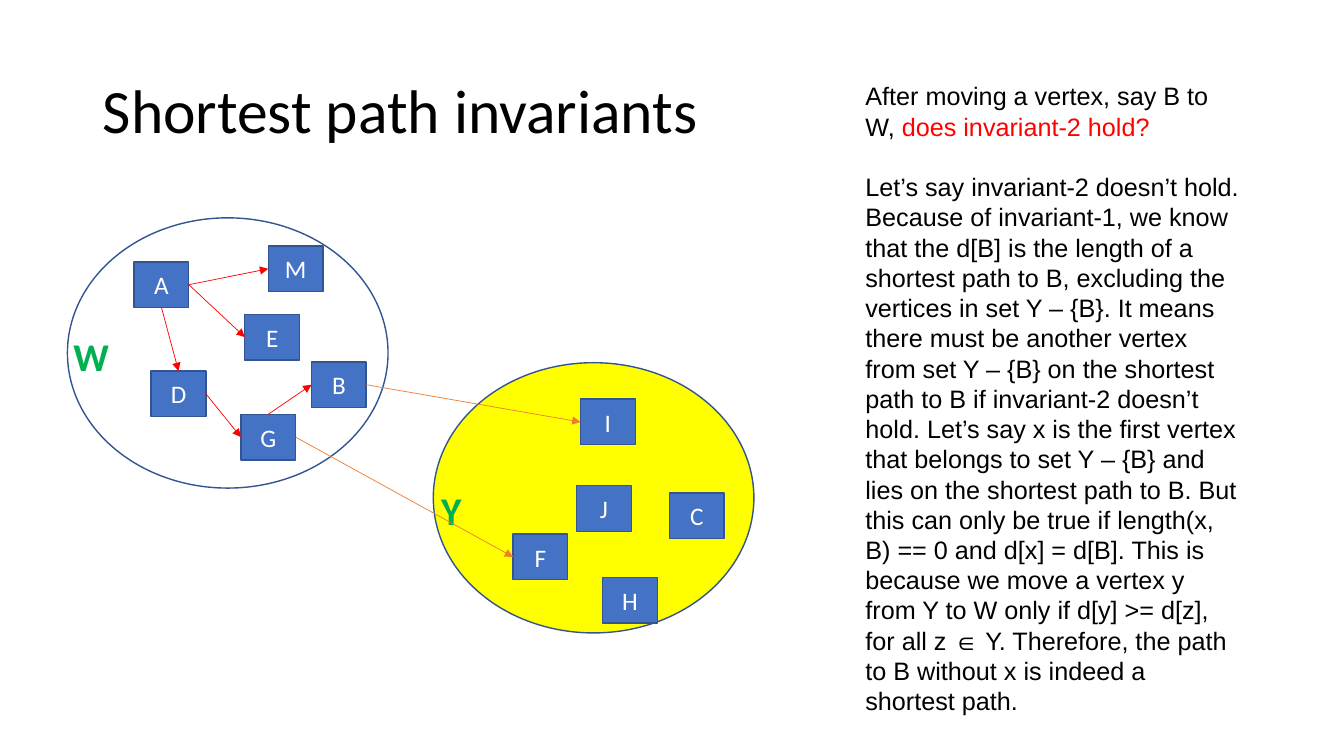
from lxml.etree import SubElement
from pptx import Presentation
from pptx.dml.color import RGBColor
from pptx.enum.shapes import MSO_CONNECTOR, MSO_SHAPE
from pptx.enum.text import MSO_ANCHOR, MSO_AUTO_SIZE, PP_ALIGN
from pptx.oxml.ns import qn
from pptx.util import Cm, Pt

HEADING = "Shortest path invariants"
ARGUMENT = [
    [("After moving a vertex, say B to W, ", "000000"), ("does invariant-2 hold?", "FF0000")],
    [("Let’s say invariant-2 doesn’t hold. Because of invariant-1, we know that the d[B] "
      "is the length of a shortest path to B, excluding the vertices in set Y – {B}. "
      "It means there must be another vertex from set Y – {B} on the shortest path to B "
      "if invariant-2 doesn’t hold. Let’s say x is the first vertex that belongs to set "
      "Y – {B} and lies on the shortest path to B. But this can only be true if "
      "length(x, B) == 0 and d[x] = d[B]. This is because we move a vertex y from Y to W "
      "only if d[y] >= d[z], for all z ∈ Y. Therefore, the path to B without x is indeed "
      "a shortest path.", "000000")],
]
SETS = [
    ("W", "FFFFFF", (1.7, 5.49), (1.6, 8.26)),
    ("Y", "FFFF00", (10.92, 9.14), (10.87, 12.14)),
]
VERTICES = {
    "A": (3.38, 6.6), "D": (3.81, 9.35), "E": (6.17, 7.92), "G": (6.07, 10.44),
    "B": (7.85, 9.12), "M": (6.76, 6.2), "F": (12.93, 13.46), "C": (16.87, 12.42),
    "H": (15.19, 14.55), "I": (14.63, 10.06), "J": (14.53, 12.24),
}
TOP, LEFT, BOTTOM, RIGHT = range(4)
INSIDE, CROSSING = "FF0000", "ED7D31"
EDGES = [
    ("A", RIGHT, "E", LEFT, INSIDE), ("A", BOTTOM, "D", TOP, INSIDE),
    ("D", RIGHT, "G", LEFT, INSIDE), ("G", TOP, "B", LEFT, INSIDE),
    ("A", RIGHT, "M", LEFT, INSIDE), ("G", RIGHT, "F", LEFT, CROSSING),
    ("B", RIGHT, "I", LEFT, CROSSING),
]
SET_SIZE = (8.08, 6.81)
LABEL_SIZE = (2.44, 1.45)
VERTEX_SIZE = (1.38, 1.15)


def color(value):
    return RGBColor.from_string(value)


def box(position, size):
    return [Cm(length) for length in position + size]


def add_run(paragraph, text, size, font_name, shade, bold=False):
    run = paragraph.add_run()
    run.text = text
    run.font.size = Pt(size)
    run.font.name = font_name
    run.font.bold = bold
    run.font.color.rgb = color(shade)


def add_outlined(kind, position, size, fill):
    outlined = slide.shapes.add_shape(kind, *box(position, size))
    outlined.shadow.inherit = False
    outlined.fill.solid()
    outlined.fill.fore_color.rgb = color(fill)
    outlined.line.color.rgb = color("325491")
    outlined.line.width = Pt(1)
    return outlined


def add_text_frame(position, size):
    frame = slide.shapes.add_textbox(*box(position, size)).text_frame
    frame.word_wrap = True
    frame.auto_size = MSO_AUTO_SIZE.SHAPE_TO_FIT_TEXT
    return frame


def add_edge(start, start_side, end, end_side, shade):
    edge = slide.shapes.add_connector(MSO_CONNECTOR.STRAIGHT, 0, 0, 0, 0)
    edge.begin_connect(start, start_side)
    edge.end_connect(end, end_side)
    edge.line.color.rgb = color(shade)
    edge.line.width = Pt(0.5)
    SubElement(edge.line._get_or_add_ln(), qn("a:tailEnd"), type="triangle")
    SubElement(edge._element.spPr, qn("a:effectLst"))


deck = Presentation()
deck.slide_width, deck.slide_height = Cm(33.87), Cm(19.05)
slide = deck.slides.add_slide(deck.slide_layouts[5])

title = slide.shapes.title
title.left, title.top, title.width, title.height = box((2.34, 1.02), (29.21, 3.68))
title.text_frame.vertical_anchor = MSO_ANCHOR.MIDDLE
heading = title.text_frame.paragraphs[0]
heading.alignment = PP_ALIGN.LEFT
heading.line_spacing = 0.9
add_run(heading, HEADING, 44, "Calibri", "000000")

for name, fill, position, label_position in SETS:
    add_outlined(MSO_SHAPE.OVAL, position, SET_SIZE, fill)
    label = add_text_frame(label_position, LABEL_SIZE)
    add_run(label.paragraphs[0], name, 28, "Calibri", "00B050", bold=True)

vertices = {}
for name, position in VERTICES.items():
    vertex = add_outlined(MSO_SHAPE.RECTANGLE, position, VERTEX_SIZE, "4472C4")
    vertex.text_frame.vertical_anchor = MSO_ANCHOR.MIDDLE
    letter = vertex.text_frame.paragraphs[0]
    letter.alignment = PP_ALIGN.CENTER
    add_run(letter, name, 18, "Calibri", "FFFFFF")
    vertices[name] = vertex

for start, start_side, end, end_side, shade in EDGES:
    add_edge(vertices[start], start_side, vertices[end], end_side, shade)

argument = add_text_frame((21.56, 1.91), (9.96, 16.41))
for index, runs in enumerate(ARGUMENT):
    paragraph = argument.add_paragraph() if index else argument.paragraphs[0]
    if index:
        paragraph.space_before = Pt(21.6)
    for text, shade in runs:
        add_run(paragraph, text, 18, "Arial", shade)

deck.save("out.pptx")
